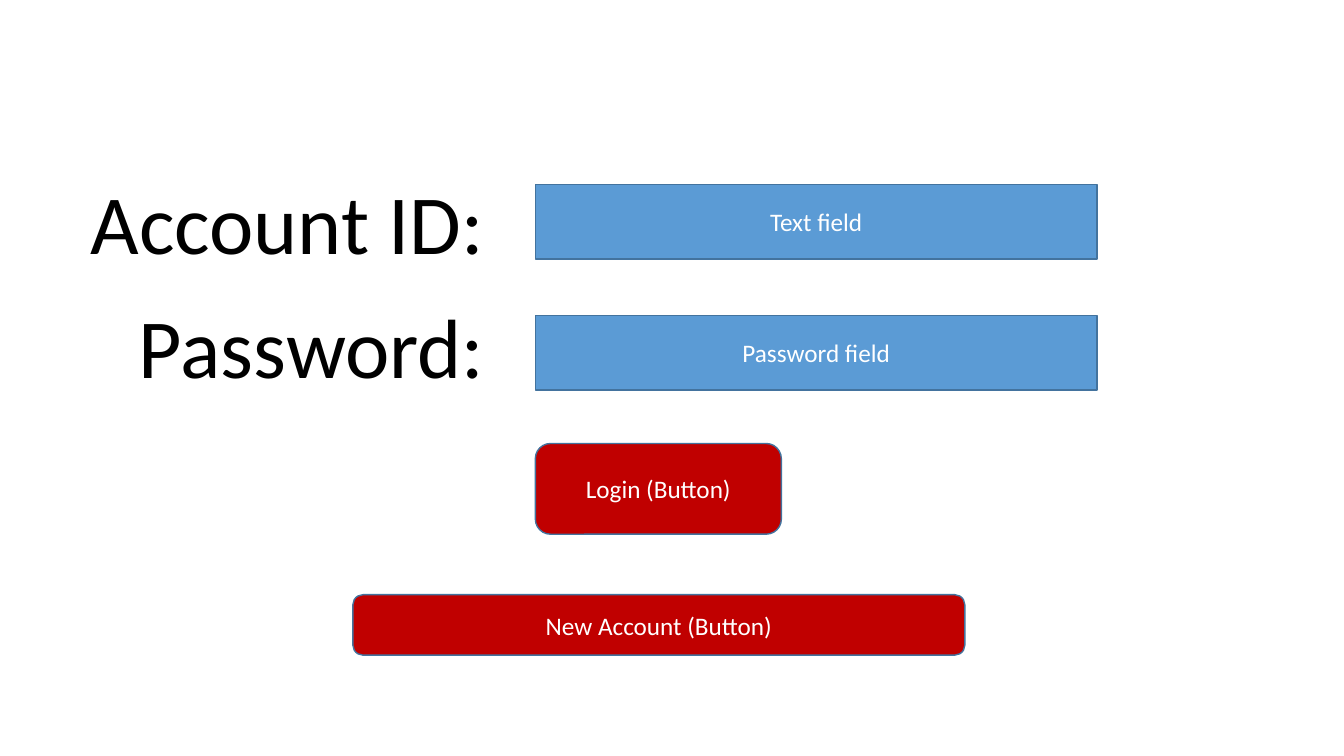
from pptx import Presentation
from pptx.dml.color import RGBColor
from pptx.enum.shapes import MSO_SHAPE as SHAPE
from pptx.enum.text import MSO_ANCHOR as ANCHOR, MSO_AUTO_SIZE as AUTO, PP_ALIGN as ALIGN
from pptx.util import Emu, Pt

FONT = "Calibri"
BLUE, RED, EDGE = "5B9BD5", "C00000", "43739E"
BLACK, WHITE = "000000", "FFFFFF"


def px(n):
    """Turn px into EMU at 100 px to the inch."""
    return Emu(n * 9144)


def rgb(value):
    """Turn a hex string into a colour."""
    return RGBColor.from_string(value)


def write(tf, text, size, color, align):
    """Put one formatted line of text in a frame."""
    p = tf.paragraphs[0]
    p.text = text
    p.alignment = align
    font = p.runs[0].font
    font.name, font.size = FONT, Pt(size)
    font.color.rgb = rgb(color)


def add_label(s, box, text):
    """Add a large form label in the given box."""
    tf = s.shapes.add_textbox(*map(px, box)).text_frame
    tf.word_wrap = False
    tf.auto_size = AUTO.SHAPE_TO_FIT_TEXT
    write(tf, text, 60, BLACK, ALIGN.LEFT)


def add_control(s, kind, box, fill, text):
    """Add a filled field or button with a centred caption."""
    sp = s.shapes.add_shape(kind, *map(px, box))
    sp.shadow.inherit = False
    sp.fill.solid()
    sp.fill.fore_color.rgb = rgb(fill)
    sp.line.color.rgb = rgb(EDGE)
    sp.line.width = Pt(1)
    tf = sp.text_frame
    tf.vertical_anchor = ANCHOR.MIDDLE
    write(tf, text, 18, WHITE, ALIGN.CENTER)


def add_login_form(s, x, y, w):
    """Lay out the labels, fields and buttons from the top left of the form."""
    label_right, field_x = x + 414, x + 451
    rows = [
        ("Account ID:", 414, 0, "Text field", 19),
        ("Password:", 366, 123, "Password field", 149),
    ]
    for label, label_w, label_dy, caption, field_dy in rows:
        add_label(s, (label_right - label_w, y + label_dy, label_w, 111), label)
        field = (field_x, y + field_dy, x + w - field_x, 74)
        add_control(s, SHAPE.RECTANGLE, field, BLUE, caption)
    buttons = [
        ("Login (Button)", (field_x, y + 276, 244, 90)),
        ("New Account (Button)", (x + 270, y + 426, 607, 60)),
    ]
    for caption, box in buttons:
        add_control(s, SHAPE.ROUNDED_RECTANGLE, box, RED, caption)


def main():
    """Build and save the login slide."""
    prs = Presentation()
    prs.slide_width, prs.slide_height = px(1333), px(750)
    s = prs.slides.add_slide(prs.slide_layouts[6])
    add_login_form(s, 80, 164, 1008)
    prs.save("out.pptx")


if __name__ == "__main__":
    main()
